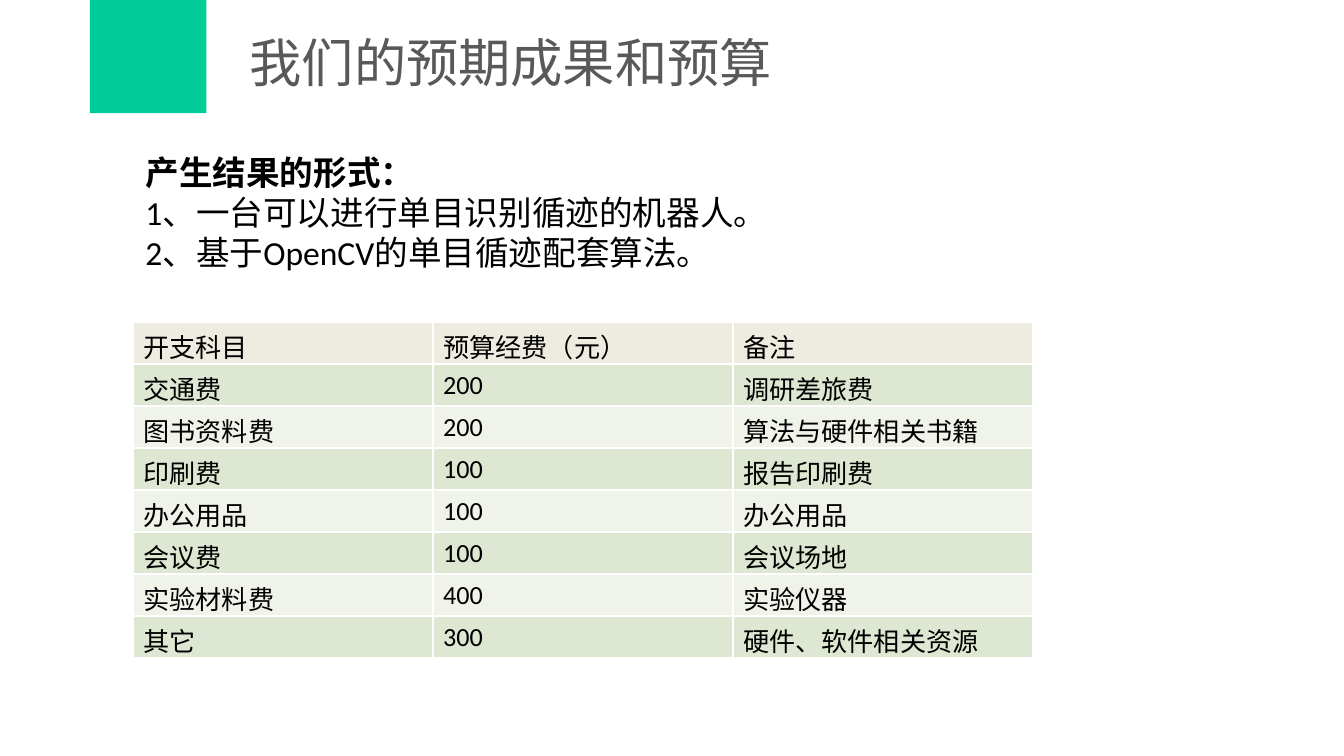
from dataclasses import dataclass

from lxml import etree
from pptx import Presentation
from pptx.dml.color import RGBColor
from pptx.enum.shapes import MSO_SHAPE
from pptx.enum.text import MSO_ANCHOR
from pptx.oxml.ns import qn
from pptx.util import Cm, Pt

RECT = MSO_SHAPE.RECTANGLE
TOP = MSO_ANCHOR.TOP
MIDDLE = MSO_ANCHOR.MIDDLE

GREEN, GREY, BLACK, WHITE = "00CC99", "595959", "000000", "FFFFFF"
HEAD, BANDS = "EEECE1", ("DEE7D1", "EFF3EA")
BODY, TITLE = "Calibri", "Noto Sans CJK SC"
SIDES = ("a:lnL", "a:lnR", "a:lnT", "a:lnB")


@dataclass
class Box:
    """Place and size in centimetres."""
    left: float
    top: float
    width: float
    height: float

    def args(self) -> tuple:
        """Return the four lengths as python-pptx expects them."""
        return Cm(self.left), Cm(self.top), Cm(self.width), Cm(self.height)


@dataclass
class Cost:
    """One row of the budget table."""
    item: str
    sum: str
    note: str


COSTS = [
    Cost("开支科目", "预算经费（元）", "备注"),
    Cost("交通费", "200", "调研差旅费"),
    Cost("图书资料费", "200", "算法与硬件相关书籍"),
    Cost("印刷费", "100", "报告印刷费"),
    Cost("办公用品", "100", "办公用品"),
    Cost("会议费", "100", "会议场地"),
    Cost("实验材料费", "400", "实验仪器"),
    Cost("其它", "300", "硬件、软件相关资源"),
]


def paint(fill, color: str) -> None:
    """Make a fill solid in a hex colour."""
    fill.solid()
    fill.fore_color.rgb = RGBColor.from_string(color)


def write(para, text: str, *, size: float, font: str = BODY,
          color: str = BLACK, bold: bool = False, east: str = "") -> None:
    """Add one formatted run to a paragraph."""
    run = para.add_run()
    run.text = text
    run.font.size, run.font.name, run.font.bold = Pt(size), font, bold
    paint(run.font.fill, color)
    if east:
        etree.SubElement(run.font._element, qn("a:ea"), typeface=east)


def frame(slide, box: Box, anchor):
    """Add a wrapping text box and return its text frame."""
    text = slide.shapes.add_textbox(*box.args()).text_frame
    text.word_wrap = True
    text.vertical_anchor = anchor
    return text


def edge(cell, color: str, width: float) -> None:
    """Draw a line on all four sides of a cell."""
    props = cell._tc.get_or_add_tcPr()
    for spot, side in enumerate(SIDES):
        line = etree.Element(qn(side), w=str(Pt(width)))
        solid = etree.SubElement(line, qn("a:solidFill"))
        etree.SubElement(solid, qn("a:srgbClr"), val=color)
        props.insert(spot, line)


def budget(slide, box: Box, costs: list[Cost]) -> None:
    """Draw the budget table with a plain head and banded rows."""
    table = slide.shapes.add_table(len(costs), 3, *box.args()).table
    table.horz_banding = False
    for row, cost in enumerate(costs):
        color = BANDS[(row - 1) % 2] if row else HEAD
        for col, text in enumerate((cost.item, cost.sum, cost.note)):
            cell = table.cell(row, col)
            cell.margin_left = cell.margin_right = Cm(0.19)
            cell.margin_top = cell.margin_bottom = Cm(0.1)
            paint(cell.fill, color)
            edge(cell, WHITE, 1)
            write(cell.text_frame.paragraphs[0], text, size=14)


def main() -> None:
    """Build and save the slide."""
    deck = Presentation()
    deck.slide_width, deck.slide_height = Cm(25.4), Cm(14.28)
    slide = deck.slides.add_slide(deck.slide_layouts[6])

    block = slide.shapes.add_shape(RECT, *Box(1.7, 0, 2.2, 2.14).args())
    block.shadow.inherit = False
    paint(block.fill, GREEN)
    block.line.fill.background()

    title = frame(slide, Box(4.47, 0.36, 20.04, 1.6), MIDDLE)
    write(title.paragraphs[0], "我们的预期成果和预算",
          size=28, font=TITLE, color=GREY, east=TITLE)

    goals = frame(slide, Box(2.5, 2.74, 12.01, 3.33), TOP)
    write(goals.paragraphs[0], "产生结果的形式：", size=18, bold=True)
    for text in ("1、一台可以进行单目识别循迹的机器人。",
                 "2、基于OpenCV的单目循迹配套算法。"):
        write(goals.add_paragraph(), text, size=18)

    budget(slide, Box(2.52, 6.08, 17, 6.27), COSTS)
    deck.save("out.pptx")


if __name__ == "__main__":
    main()
